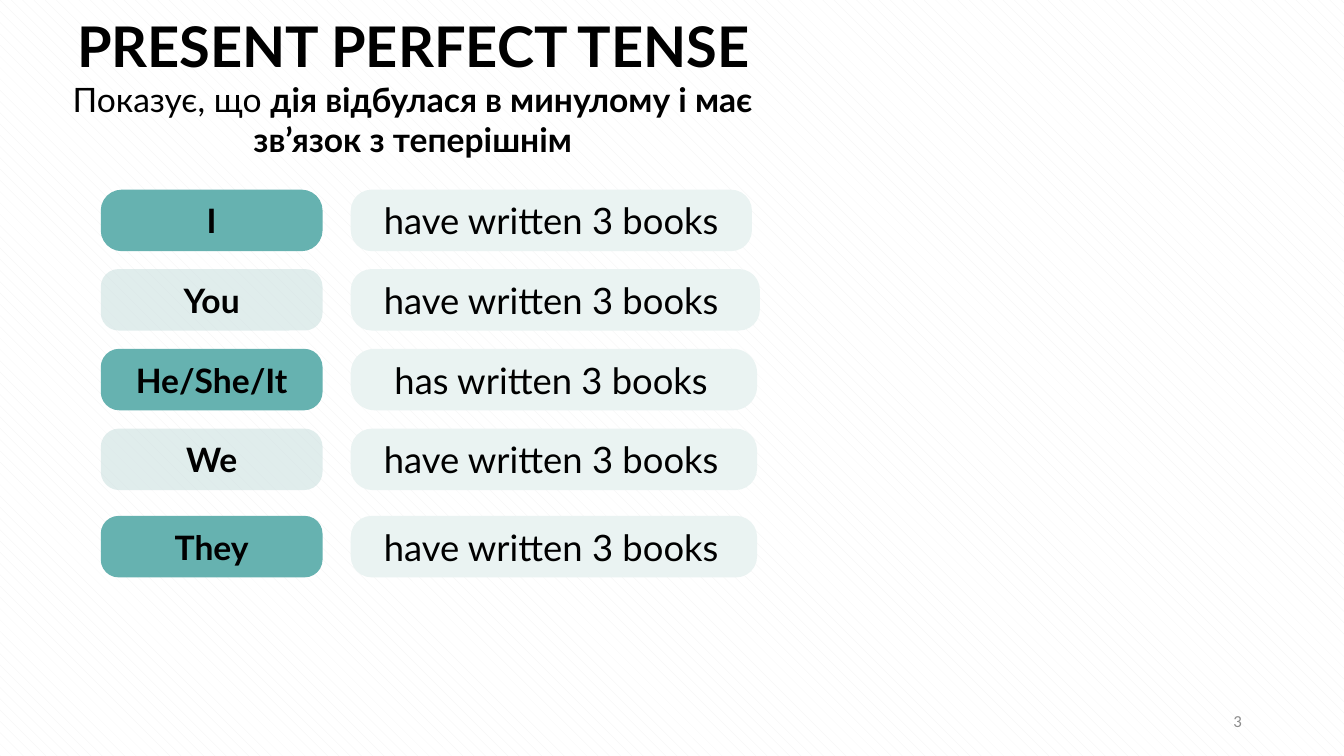
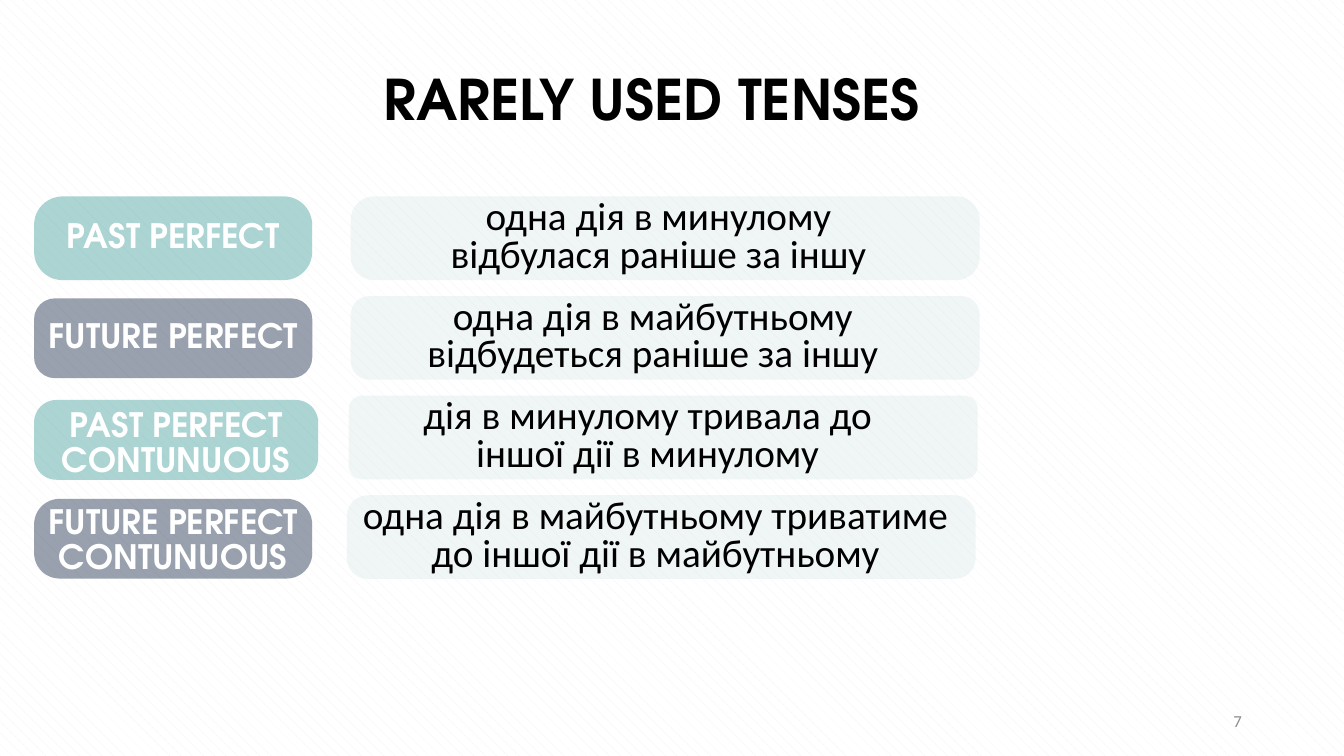
"""Build two slides about English perfect tenses."""
from lxml import etree
from pptx import Presentation
from pptx.dml.color import RGBColor
from pptx.enum.dml import MSO_PATTERN
from pptx.enum.shapes import MSO_SHAPE
from pptx.enum.text import MSO_ANCHOR, MSO_AUTO_SIZE, PP_ALIGN
from pptx.oxml.ns import qn
from pptx.util import Cm, Pt

SHINGLE = MSO_PATTERN.SHINGLE
ROUNDED = MSO_SHAPE.ROUNDED_RECTANGLE
TOP, MIDDLE = MSO_ANCHOR.TOP, MSO_ANCHOR.MIDDLE
NO_AUTOFIT = MSO_AUTO_SIZE.NONE
CENTER, RIGHT = PP_ALIGN.CENTER, PP_ALIGN.RIGHT

CONTENT_LAYOUT, TITLE_LAYOUT = 1, 5
NO_INSETS = (0, 0, 0, 0)
LATO, CALIBRI, ADVENTOR = "Lato", "Calibri", "TeX Gyre Adventor"
BLACK, WHITE, GREY, STRIPE = "000000", "FFFFFF", "8C8C8C", "F2F2F2"
TEAL, SLATE, MINT, PALE, MIST = "66B2B0", "44546A", "EAF3F2", "C8DFDE", "C7DFDC"


def color(value):
    return RGBColor.from_string(value)


def write_text(frame, text, font=LATO, size=24, ink=BLACK, bold=False,
               align=CENTER, spacing=1.0):
    paragraph = frame.paragraphs[-1]
    paragraph.alignment = align
    paragraph.line_spacing = spacing
    paragraph.space_before = Pt(0)
    for number, line in enumerate(text.split("\n")):
        if number:
            paragraph.add_line_break()
        run = paragraph.add_run()
        run.text = line
        run.font.name = font
        run.font.size = Pt(size)
        run.font.bold = bold
        run.font.color.rgb = color(ink)


def set_frame(shape, insets=NO_INSETS, anchor=MIDDLE, wrap=True):
    frame = shape.text_frame
    frame.auto_size = NO_AUTOFIT
    frame.word_wrap = wrap
    frame.vertical_anchor = anchor
    (frame.margin_left, frame.margin_top,
     frame.margin_right, frame.margin_bottom) = map(Cm, insets)
    return frame


def move(shape, box):
    shape.left, shape.top, shape.width, shape.height = map(Cm, box)


class Deck:
    def __init__(self):
        self.presentation = Presentation()
        self.presentation.slide_width = Cm(33.87)
        self.presentation.slide_height = Cm(19.05)
        fill = self.presentation.slide_master.background.fill
        fill.patterned()
        fill.pattern = SHINGLE
        fill.fore_color.rgb = color(STRIPE)
        fill.back_color.rgb = color(WHITE)
        self.slide = None

    def add_slide(self, layout, title, box, font, page):
        layouts = self.presentation.slide_layouts
        self.slide = self.presentation.slides.add_slide(layouts[layout])
        heading = self.slide.shapes.title
        move(heading, box)
        write_text(set_frame(heading), title, font=font, size=40, bold=True)
        number = self.slide.shapes.add_textbox(*map(Cm, (23.93, 17.65, 7.62, 1.02)))
        frame = set_frame(number, insets=(0.25, 0.13, 0.25, 0.13))
        write_text(frame, page, font=CALIBRI, size=12, ink=GREY, align=RIGHT)

    def body(self, box, parts):
        shape = self.slide.placeholders[1]
        move(shape, box)
        frame = set_frame(shape, anchor=TOP)
        for text, bold in parts:
            write_text(frame, text, bold=bold)
        properties = frame.paragraphs[0]._p.get_or_add_pPr()
        properties.set("marL", "0")
        properties.set("indent", "0")
        etree.SubElement(properties, qn("a:buNone"))

    def pill(self, box, text, fill, corner, opacity=100, insets=NO_INSETS,
             wrap=False, **text_format):
        shape = self.slide.shapes.add_shape(ROUNDED, *map(Cm, box))
        shape.adjustments[0] = corner
        shape.shadow.inherit = False
        shape.line.fill.background()
        shape.fill.solid()
        shape.fill.fore_color.rgb = color(fill)
        if opacity < 100:
            solid = shape._element.spPr.find(qn("a:solidFill"))
            etree.SubElement(solid[0], qn("a:alpha"), val=str(opacity * 1000))
        write_text(set_frame(shape, insets, wrap=wrap), text, **text_format)


def add_present_perfect(deck):
    deck.add_slide(CONTENT_LAYOUT, "PRESENT PERFECT TENSE",
                   (0.66, 0.28, 19.51, 1.7), LATO, "3")
    deck.body((1.47, 1.98, 17.86, 2.06),
              [("Показує, що ", False),
               ("дія відбулася в минулому і має зв’язок з теперішнім", True)])
    height, text_width = 1.55, 10.11
    rows = [
        ("I", "have", 4.78, 0.34, 10.11, 0.34),
        ("You", "have", 6.78, 0.29, 10.31, 0.34),
        ("He/She/It", "has", 8.79, 0.3, 10.24, 0.39),
        ("We", "have", 10.8, 0.3, 10.24, 0.35),
        ("They", "have", 13, 0.29, 10.24, 0.34),
    ]
    for index, (pronoun, verb, top, corner, width, verb_corner) in enumerate(rows):
        fill, opacity = [(TEAL, 100), (PALE, 55)][index % 2]
        deck.pill((2.54, top, 5.59, height), pronoun, fill, corner, opacity,
                  bold=True)
        deck.pill((8.84, top, width, height), f"{verb} written 3 books", MINT,
                  verb_corner, insets=(0, 0, width - text_width, 0), size=26)


def add_rare_tenses(deck):
    deck.add_slide(TITLE_LAYOUT, "RARELY USED TENSES",
                   (9.47, 1.63, 13.92, 1.7), ADVENTOR, "7")
    tenses = [
        ("PAST PERFECT", (0.86, 4.95, 7.01, 2.11), 0.34, 0),
        ("FUTURE PERFECT", (0.86, 7.52, 7.01, 2.01), 0.26, 0),
        ("PAST PERFECT\nCONTUNUOUS", (0.86, 10.08, 7.16, 2.01), 0.28, 0.24),
        ("FUTURE PERFECT\nCONTUNUOUS", (0.86, 12.57, 7.01, 2.01), 0.32, 0.15),
    ]
    meanings = [
        ("одна дія в минулому відбулася раніше за іншу", 8.84, 0.28, 1.55, 1.9),
        ("одна дія в майбутньому відбудеться раніше за іншу", 8.84, 0.22, 1.06, 1.69),
        ("дія в минулому тривала до іншої дії в минулому", 8.79, 0.16, 1.14, 1.93),
        ("одна дія в майбутньому триватиме до іншої дії в майбутньому",
         8.74, 0.25, 0.15, 0.45),
    ]
    for index, (name, box, corner, inset) in enumerate(tenses):
        deck.pill(box, name, [TEAL, SLATE][index % 2], corner, 55,
                  insets=(0, inset, 0, 0), font=ADVENTOR, ink=WHITE, bold=True,
                  spacing=0.85)
    for index, (text, left, corner, inset_left, inset_right) in enumerate(meanings):
        deck.pill((left, 4.95 + 2.51 * index, 15.85, 2.11), text, MIST, corner, 25,
                  insets=(inset_left, 0, inset_right, 0), wrap=True,
                  font=CALIBRI, size=28, spacing=0.8)


def main():
    deck = Deck()
    add_present_perfect(deck)
    add_rare_tenses(deck)
    deck.presentation.save("out.pptx")


if __name__ == "__main__":
    main()
